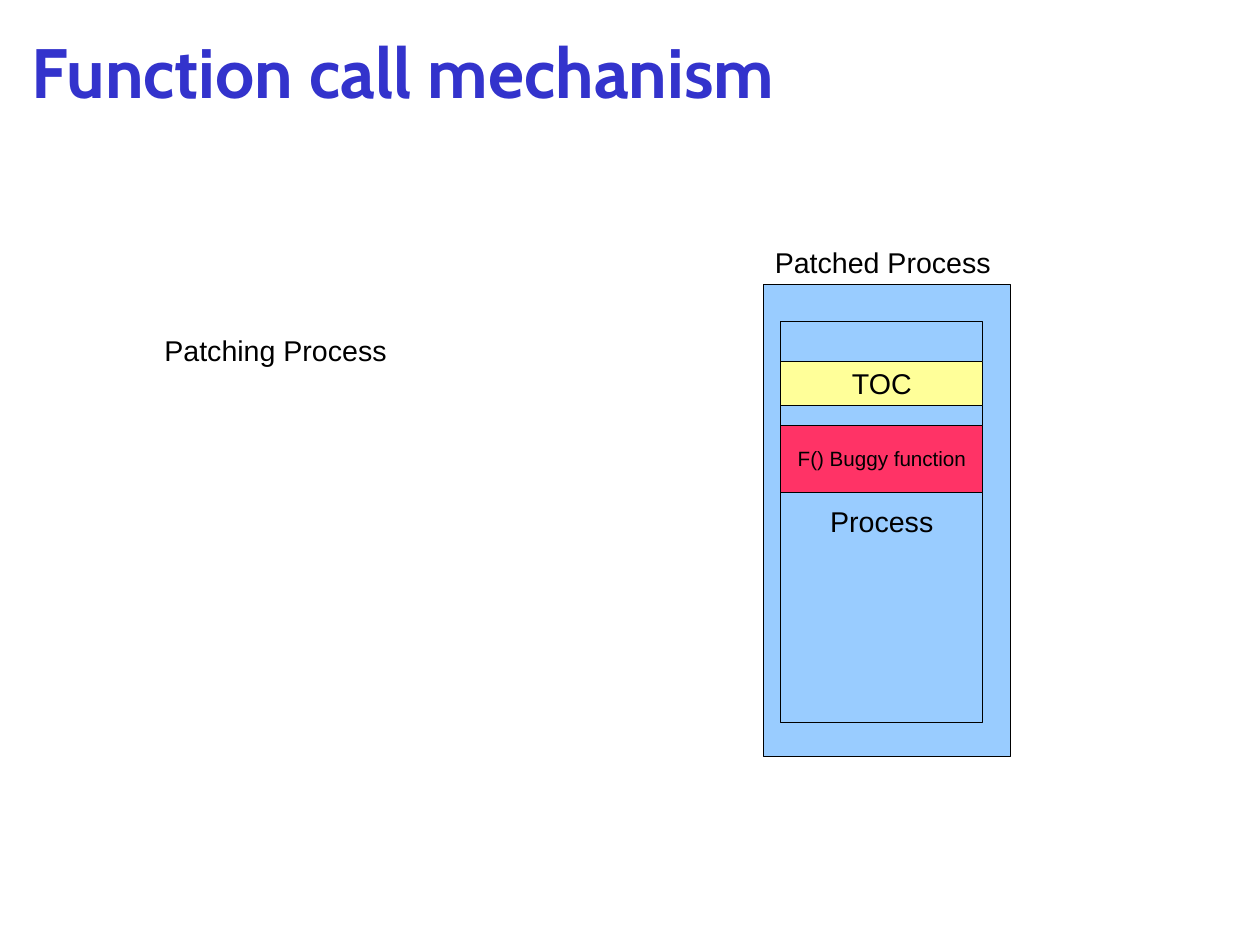
from pptx import Presentation
from pptx.dml.color import RGBColor
from pptx.enum.shapes import MSO_SHAPE
from pptx.enum.text import MSO_ANCHOR, MSO_AUTO_SIZE, PP_ALIGN
from pptx.util import Cm, Inches, Pt

RECTANGLE = MSO_SHAPE.RECTANGLE
MIDDLE, TOP = MSO_ANCHOR.MIDDLE, MSO_ANCHOR.TOP
LEFT, CENTER = PP_ALIGN.LEFT, PP_ALIGN.CENTER
NO_FIT = MSO_AUTO_SIZE.NONE

# Content
TITLE = "Function call mechanism"
BLUE, RED, YELLOW = "99CCFF", "FF3366", "FFFF99"
FRAME = (6.68, 2.49, 2.16, 4.13)
MEMORY_LEFT, MEMORY_WIDTH = 6.83, 1.77
# text, top, height, fill, font size, top inset
MEMORY_BLOCKS = [
    ("Process", 2.81, 3.51, BLUE, 18, 0.07),
    ("F() Buggy function", 3.72, 0.59, RED, 13, 0.06),
    ("TOC", 3.16, 0.39, YELLOW, 18, 0.07),
]
LABELS = [
    ("Patched Process", 6.68, 2.10, 2.09, 0.38),
    ("Patching Process", 1.34, 2.87, 2.14, 0.38),
]


def color(value):
    return RGBColor.from_string(value)


def write(shape, text, size, insets, anchor=MIDDLE, align=LEFT, spacing=0.93,
          font="Arial", ink="000000", bold=False, wrap=False):
    frame = shape.text_frame
    frame.auto_size = NO_FIT
    frame.word_wrap = wrap
    frame.vertical_anchor = anchor
    (frame.margin_left, frame.margin_top,
     frame.margin_right, frame.margin_bottom) = [Inches(n) for n in insets]
    para = frame.paragraphs[0]
    para.text = text
    para.alignment = align
    para.line_spacing = spacing
    para.font.name = font
    para.font.size = Pt(size)
    para.font.bold = bold
    para.font.color.rgb = color(ink)


def add_box(group, bounds, fill):
    box = group.shapes.add_shape(RECTANGLE, *[Inches(n) for n in bounds])
    box.shadow.inherit = False
    box.fill.solid()
    box.fill.fore_color.rgb = color(fill)
    box.line.color.rgb = color("000000")
    box.line.width = Pt(0.75)
    return box


# Page of 28 by 21 cm
deck = Presentation()
deck.slide_width, deck.slide_height = Cm(28), Cm(21)
page = deck.slides.add_slide(deck.slide_layouts[5])

# Title
title = page.shapes.title
title.left, title.top = Inches(0.28), Inches(0)
title.width, title.height = Inches(9.92), Inches(1.28)
write(title, TITLE, 44, (0, 0.02, 0, 0), spacing=0.98, font="Cabin",
      ink="3333CC", bold=True, wrap=True)

# Patched process with its memory blocks
process = page.shapes.add_group_shape()
add_box(process, FRAME, BLUE)
for text, top, height, fill, size, inset in MEMORY_BLOCKS:
    block = add_box(process, (MEMORY_LEFT, top, MEMORY_WIDTH, height), fill)
    write(block, text, size, (0.1, inset, 0.1, 0.05), align=CENTER)

# Process labels
for text, *bounds in LABELS:
    label = page.shapes.add_textbox(*[Inches(n) for n in bounds])
    write(label, text, 18, (0.1, 0.07, 0.1, 0.05), anchor=TOP)

deck.save("out.pptx")
